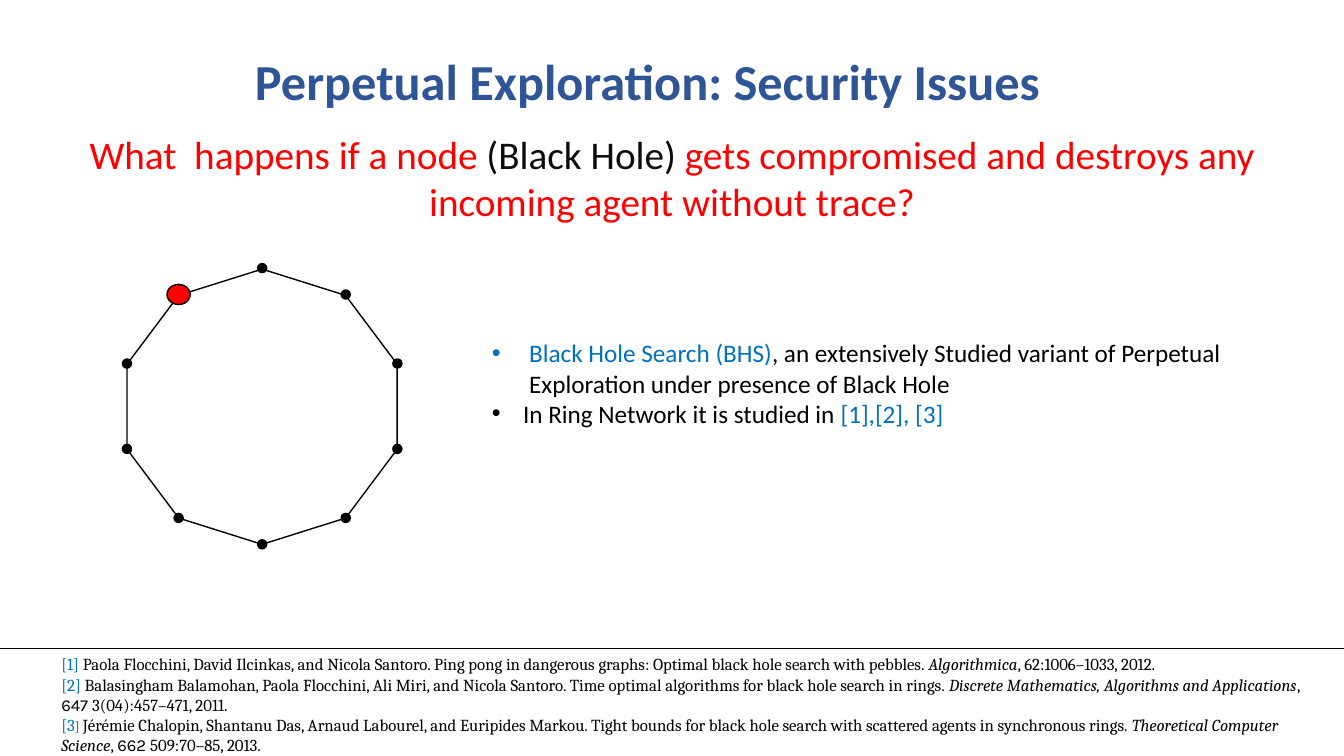
from math import cos, radians, sin

from lxml.etree import SubElement
from pptx import Presentation
from pptx.dml.color import RGBColor
from pptx.enum.shapes import MSO_CONNECTOR, MSO_SHAPE
from pptx.enum.text import MSO_ANCHOR, MSO_AUTO_SIZE, PP_ALIGN
from pptx.oxml.ns import qn
from pptx.util import Inches, Pt

COLORS = {
    "title": "2F5597",
    "alert": "FF0000",
    "dark": "0D0D0D",
    "black": "000000",
    "accent": "0070C0",
}
ACCENT = {"color": "accent"}
ITALIC = {"italic": True}

# Each paragraph is a list of (text, format) runs
TITLE = [[("Perpetual Exploration: Security Issues", {})]]
QUESTION = [[
    ("What  happens if a node ", {}),
    ("(Black Hole) ", {"color": "dark"}),
    ("gets compromised and destroys any incoming agent without trace?", {}),
]]
POINTS = [
    [
        ("Black Hole Search (BHS)", ACCENT),
        (", an extensively Studied variant of Perpetual "
         "Exploration under presence of Black Hole", {}),
    ],
    [("In Ring Network it is studied in ", {}), ("[1],[2], [3]", ACCENT)],
]
REFERENCES = [
    [
        ("[1]", ACCENT),
        (" Paola Flocchini, David Ilcinkas, and Nicola Santoro. Ping pong in dangerous "
         "graphs: Optimal black hole search with pebbles. ", {}),
        ("Algorithmica", ITALIC),
        (", 62:1006–1033, 2012.", {}),
    ],
    [
        ("[2] ", ACCENT),
        ("Balasingham Balamohan, Paola Flocchini, Ali Miri, and Nicola Santoro. Time "
         "optimal algorithms for black hole search in rings. ", {}),
        ("Discrete Mathematics, Algorithms and Applications", ITALIC),
        (", ", {}),
        ("647 ", {"name": "Karla"}),
        ("3(04):457–471, 2011.", {}),
    ],
    [
        ("[3", ACCENT),
        ("] ", {"color": "accent", "size": 10}),
        ("Jérémie Chalopin, Shantanu Das, Arnaud Labourel, and Euripides Markou. Tight "
         "bounds for black hole search with scattered agents in synchronous rings. ", {}),
        ("Theoretical Computer Science", ITALIC),
        (", ", {}),
        ("662 ", {"name": "Karla"}),
        ("509:70–85, 2013.", {}),
    ],
]


def rgb(color):
    return RGBColor.from_string(COLORS[color])


def format_font(font, name="Calibri", size=18, color="black", bold=False, italic=False):
    font.name = name
    font.size = Pt(size)
    font.color.rgb = rgb(color)
    font.bold = bold
    font.italic = italic


def add_bullet(paragraph, indent):
    properties = paragraph._p.get_or_add_pPr()
    properties.set("marL", str(Inches(indent)))
    properties.set("indent", str(-Inches(indent)))
    SubElement(properties, qn("a:buFont"), typeface="Arial")
    SubElement(properties, qn("a:buChar"), char="•")


def write_text(shape, paragraphs, align=PP_ALIGN.LEFT, bullet_indents=(), **base):
    frame = shape.text_frame
    frame.word_wrap = True
    frame.auto_size = MSO_AUTO_SIZE.NONE
    frame.vertical_anchor = MSO_ANCHOR.TOP
    for index, runs in enumerate(paragraphs):
        paragraph = frame.add_paragraph() if index else frame.paragraphs[0]
        paragraph.alignment = align
        if bullet_indents:
            add_bullet(paragraph, bullet_indents[index])
        for text, changes in runs:
            run = paragraph.add_run()
            run.text = text
            format_font(run.font, **{**base, **changes})


def add_title(slide, left, top, width, height):
    title = slide.shapes.title
    title.left, title.top = Inches(left), Inches(top)
    title.width, title.height = Inches(width), Inches(height)
    write_text(title, TITLE, PP_ALIGN.CENTER, size=36, color="title", bold=True)


def add_text(slide, left, top, width, height, paragraphs, **formats):
    box = slide.shapes.add_textbox(Inches(left), Inches(top), Inches(width), Inches(height))
    write_text(box, paragraphs, **formats)


def add_outlined(shapes, kind, left, top, width, height, fill=None):
    shape = shapes.add_shape(kind, Inches(left), Inches(top), Inches(width), Inches(height))
    shape.shadow.inherit = False
    if fill:
        shape.fill.solid()
        shape.fill.fore_color.rgb = rgb(fill)
    else:
        shape.fill.background()
    shape.line.color.rgb = rgb("black")
    shape.line.width = Pt(1)
    return shape


def add_node(shapes, center_x, center_y, width, height, fill):
    add_outlined(shapes, MSO_SHAPE.OVAL, center_x - width / 2, center_y - height / 2,
                 width, height, fill)


def add_ring(slide):
    shapes = slide.shapes.add_group_shape().shapes
    # A five-point star with full inner radius is a regular ten-sided ring
    ring = add_outlined(shapes, MSO_SHAPE.STAR_5_POINT, 1.26, 2.67, 2.68, 2.47)
    ring.adjustments[0] = 0.5
    center_x, center_y, radius_x, radius_y = 2.6, 4.03, 1.41, 1.37
    node_count, black_hole = 10, 9
    for index in range(node_count):
        angle = radians(360 / node_count * index)
        x = center_x + radius_x * sin(angle)
        y = center_y - radius_y * cos(angle)
        if index == black_hole:
            add_node(shapes, x, y, 0.23, 0.2, "alert")
        else:
            add_node(shapes, x, y, 0.09, 0.09, "black")


def add_rule(slide, top, width):
    rule = slide.shapes.add_connector(
        MSO_CONNECTOR.STRAIGHT, Inches(0), Inches(top), Inches(width), Inches(top))
    rule.line.color.rgb = rgb("black")
    rule.line.width = Pt(0.5)
    SubElement(rule._element.spPr, qn("a:effectLst"))


def main():
    presentation = Presentation()
    presentation.slide_width = Inches(13.33)
    presentation.slide_height = Inches(7.5)
    slide = presentation.slides.add_slide(presentation.slide_layouts.get_by_name("Title Only"))

    # Heading and question
    add_title(slide, 0.65, 0.45, 11.55, 0.71)
    add_text(slide, 0.51, 1.24, 12.31, 1.04, QUESTION,
             align=PP_ALIGN.CENTER, size=28, color="alert")

    # Ring network with its black hole, and the points beside it
    add_ring(slide)
    add_text(slide, 4.78, 3.3, 7.46, 1.01, POINTS, bullet_indents=(0.37, 0.31))

    # References
    add_rule(slide, 6.43, 13.33)
    add_text(slide, 0.51, 6.44, 12.73, 1.11, REFERENCES, name="Cambria", size=12)

    presentation.save("out.pptx")


if __name__ == "__main__":
    main()
